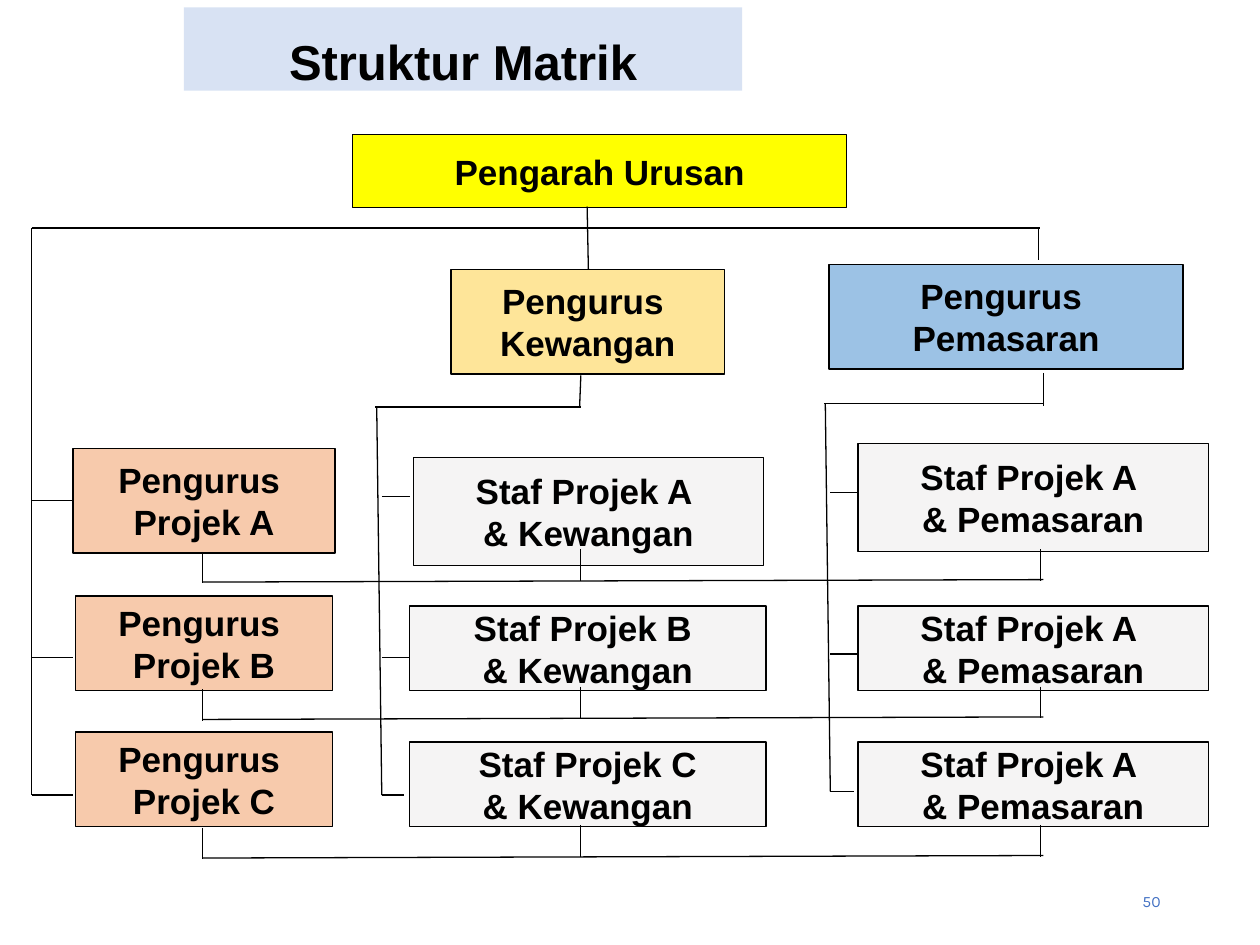
from pptx import Presentation, util as u
from pptx.dml.color import RGBColor
from pptx.enum import shapes, text
from pptx.oxml.ns import qn
from lxml import etree

deck = Presentation()
deck.slide_width, deck.slide_height = u.Inches(10), u.Inches(7.5)
slide = deck.slides.add_slide(deck.slide_layouts[6])


def box(place, words, fill=None, outline=True, size=20, font="Arial", color="000000",
        bold=True, align=text.PP_ALIGN.CENTER, anchor=text.MSO_ANCHOR.MIDDLE, side=0.1):
    """Rectangle with text; a newline starts a paragraph, a vertical tab a line."""
    place = [u.Inches(n) for n in place]
    if fill:
        part = slide.shapes.add_shape(shapes.MSO_SHAPE.RECTANGLE, *place)
        part.shadow.inherit = False
        part.fill.solid()
        part.fill.fore_color.rgb = RGBColor.from_string(fill)
        if outline:
            part.line.color.rgb = RGBColor.from_string("000000")
            part.line.width = u.Pt(0.75)
        else:
            part.line.fill.background()
    else:
        part = slide.shapes.add_textbox(*place)
    frame = part.text_frame
    frame.word_wrap = True
    frame.vertical_anchor = anchor
    frame.margin_left = frame.margin_right = u.Inches(side)
    frame.margin_top = u.Inches(0.05)
    frame.margin_bottom = u.Inches(min(side, 0.05))
    frame.text = words
    for paragraph in frame.paragraphs:
        paragraph.alignment = align
        paragraph.font.size, paragraph.font.name = u.Pt(size), font
        paragraph.font.bold = bold
        paragraph.font.color.rgb = RGBColor.from_string(color)


def line(x1, y1, x2, y2):
    link = slide.shapes.add_connector(
        shapes.MSO_CONNECTOR.STRAIGHT, *[u.Inches(n) for n in (x1, y1, x2, y2)])
    link.line.color.rgb = RGBColor.from_string("000000")
    link.line.width = u.Pt(0.75)
    etree.SubElement(link._element.spPr, qn("a:effectLst"))


# Title
box((1.46, 0.06, 4.43, 0.66), "Struktur Matrik", "D8E2F3", outline=False, size=28,
    anchor=text.MSO_ANCHOR.BOTTOM, side=0)

# Director and department managers
box((2.8, 1.07, 3.92, 0.58), "Pengarah Urusan", "FFFF00")
box((3.58, 2.14, 2.17, 0.83), "Pengurus \nKewangan", "FEE599")
box((6.58, 2.1, 2.81, 0.83), "Pengurus \nPemasaran", "9CC2E5")

# Project managers, one per row
PROJECT, STAFF = "F7CAAC", "F5F4F4"
box((0.58, 3.56, 2.08, 0.83), "Pengurus \nProjek A", PROJECT)
for project, top in (("B", 4.73), ("C", 5.81)):
    box((0.6, top, 2.04, 0.75), f"Pengurus \vProjek {project}", PROJECT)

# Staff: finance column, then marketing column
for place, staff in (((3.28, 3.63, 2.78, 0.86), "Staf Projek A "),
                     ((3.25, 4.81, 2.83, 0.67), "Staf Projek B "),
                     ((3.25, 5.89, 2.83, 0.67), "Staf Projek C")):
    box(place, f"{staff}\n& Kewangan", STAFF)
for top, height in ((3.52, 0.86), (4.81, 0.67), (5.89, 0.67)):
    box((6.81, top, 2.78, height), "Staf Projek A \n& Pemasaran", STAFF)

# Lines from the director
line(4.66, 1.64, 4.67, 2.14)
line(0.25, 1.81, 8.25, 1.81)
line(8.24, 1.81, 8.24, 2.06)
line(0.25, 1.81, 0.25, 6.31)

# Lines from each department manager down to the staff
line(4.61, 2.98, 4.6, 3.23)
line(2.98, 3.23, 4.61, 3.23)
line(2.99, 3.23, 3.03, 6.31)
line(8.28, 2.96, 8.28, 3.22)
line(6.54, 3.2, 8.28, 3.2)
line(6.55, 3.2, 6.59, 6.28)

# Short branches into the rows of each column
for trunk, ends, levels in ((0.25, (0.58, 0.58, 0.58), (3.97, 5.22, 6.31)),
                            (3.03, (3.25, 3.25, 3.21), (3.94, 5.22, 6.31)),
                            (6.59, (6.81, 6.81, 6.78), (3.91, 5.19, 6.28))):
    for end, level in zip(ends, levels):
        line(trunk, level, end, level)

# Links across each project row
for level in (4.61, 5.7, 6.8):
    line(1.61, level + 0.01, 8.28, level - 0.01)
    for x, rise in ((1.61, 0.23), (4.61, 0.25), (8.26, 0.25)):
        line(x, level - rise, x, level + 0.25 - rise)

# Page number
box((7.06, 6.95, 2.25, 0.4), "50", size=9, font="Karla", color="4472C4",
    bold=False, align=text.PP_ALIGN.RIGHT)

deck.save("out.pptx")
